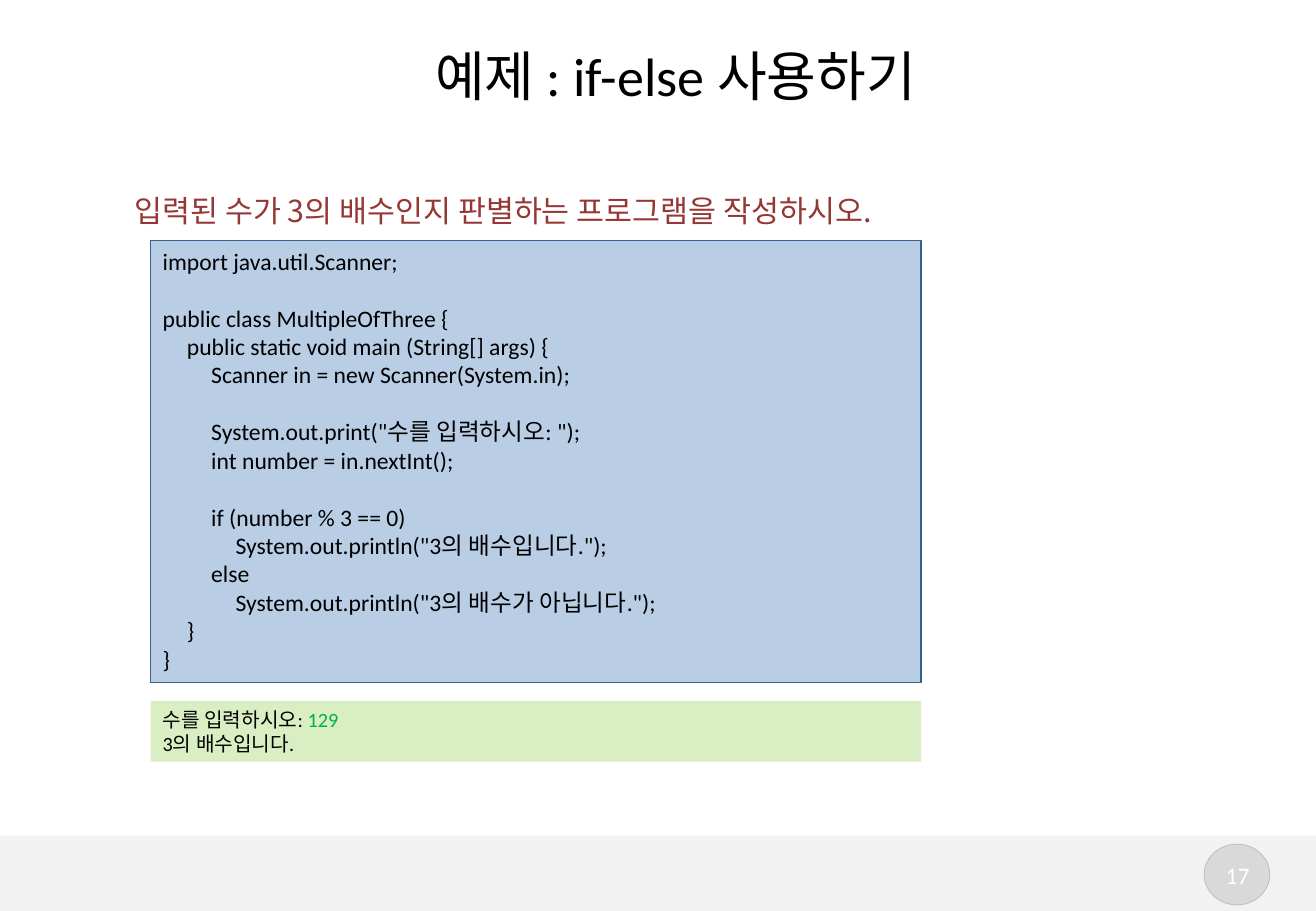
import pptx
import pptx.util
import pptx.dml.color
import pptx.enum.shapes
import pptx.enum.text
import lxml.etree
from pptx.oxml.ns import qn

RGBColor = pptx.dml.color.RGBColor
BLACK = RGBColor(0x00, 0x00, 0x00)
WHITE = RGBColor(0xFF, 0xFF, 0xFF)
FOOTER_GRAY = RGBColor(0xF2, 0xF2, 0xF2)
BADGE_GRAY = RGBColor(0xD9, 0xD9, 0xD9)
BADGE_EDGE = RGBColor(0xBF, 0xBF, 0xBF)
CODE_BLUE = RGBColor(0xB9, 0xCD, 0xE5)
CODE_EDGE = RGBColor(0x37, 0x60, 0x92)
OUTPUT_GREEN = RGBColor(0xDA, 0xEE, 0xC4)
INPUT_GREEN = RGBColor(0x00, 0xB0, 0x50)
QUESTION_RED = RGBColor(0x95, 0x37, 0x35)

SHAPES = pptx.enum.shapes.MSO_SHAPE
ALIGN = pptx.enum.text.PP_ALIGN
ANCHOR = pptx.enum.text.MSO_ANCHOR
KOREAN = "Noto Sans CJK KR"
WIDTH, HEIGHT = 10.83, 7.5
COLUMN_LEFT, COLUMN_WIDTH = 1.24, 6.34
CODE_INDENT = 0.2
CODE_SIZE, CODE_LINE = 14, 17

deck = pptx.Presentation()
deck.slide_width = pptx.util.Inches(WIDTH)
deck.slide_height = pptx.util.Inches(HEIGHT)
slide = deck.slides.add_slide(deck.slide_layouts[6])


def add_panel(kind, left, top, width, height, fill, edge=None, edge_width=0.75):
    panel = slide.shapes.add_shape(kind, *map(pptx.util.Inches, (left, top, width, height)))
    panel.shadow.inherit = False
    panel.fill.solid()
    panel.fill.fore_color.rgb = fill
    if edge is None:
        panel.line.fill.background()
    else:
        panel.line.color.rgb = edge
        panel.line.width = pptx.util.Pt(edge_width)
    panel.text_frame.vertical_anchor = ANCHOR.TOP
    return panel


def write(paragraph, text, size=CODE_SIZE, color=BLACK, font="Calibri", align=ALIGN.LEFT):
    paragraph.alignment = align
    run = paragraph.add_run()
    run.text = text
    run.font.size = pptx.util.Pt(size)
    run.font.name = font
    run.font.color.rgb = color
    east_asian = lxml.etree.SubElement(run.font._element, qn("a:ea"))
    east_asian.set("typeface", KOREAN)


# Footer
footer_top = 6.88
add_panel(SHAPES.RECTANGLE, 0, footer_top, WIDTH, HEIGHT - footer_top, FOOTER_GRAY)
add_panel(SHAPES.OVAL, 9.91, 6.95, 0.54, 0.5, BADGE_GRAY, BADGE_EDGE, 0.5)

# Single-line texts: page number, title, question
for text, box, wraps, anchor, style in (
    ("17", (9.97, 7.04, 0.43, 0.34), False, ANCHOR.TOP,
     dict(size=14, color=WHITE, align=ALIGN.CENTER)),
    ("예제 : if-else 사용하기", (0.73, 0.25, 9.66, 0.74), True, ANCHOR.MIDDLE,
     dict(size=32, align=ALIGN.CENTER)),
    ("입력된 수가 3의 배수인지 판별하는 프로그램을 작성하시오.", (1.01, 1.53, 6.97, 0.4), False,
     ANCHOR.TOP, dict(size=18, color=QUESTION_RED, font=KOREAN)),
):
    frame = slide.shapes.add_textbox(*map(pptx.util.Inches, box)).text_frame
    frame.word_wrap = wraps
    frame.vertical_anchor = anchor
    write(frame.paragraphs[0], text, **style)

# Code listing: blocks set apart by one line, each line with its indent level
code_blocks = (
    ((0, "import java.util.Scanner;"),),
    ((0, "public class MultipleOfThree {"),
     (1, "public static void main (String[] args) {"),
     (2, "Scanner in = new Scanner(System.in);")),
    ((2, 'System.out.print("수를 입력하시오: ");'),
     (2, "int number = in.nextInt();")),
    ((2, "if (number % 3 == 0)"),
     (3, 'System.out.println("3의 배수입니다.");'),
     (2, "else"),
     (3, 'System.out.println("3의 배수가 아닙니다.");'),
     (1, "}"),
     (0, "}")),
)
code = add_panel(SHAPES.RECTANGLE, COLUMN_LEFT, 1.98, COLUMN_WIDTH, 3.64,
                 CODE_BLUE, CODE_EDGE).text_frame
for block_index, block in enumerate(code_blocks):
    for line_index, (level, text) in enumerate(block):
        first = block_index == line_index == 0
        line = code.paragraphs[0] if first else code.add_paragraph()
        if line_index == 0 and not first:
            line.space_before = pptx.util.Pt(CODE_LINE)
        properties = line._p.get_or_add_pPr()
        properties.set("marL", str(int(pptx.util.Inches(CODE_INDENT * level))))
        properties.set("indent", "0")
        write(line, text)

# Program output
output = add_panel(SHAPES.RECTANGLE, COLUMN_LEFT, 5.77, COLUMN_WIDTH, 0.5,
                   OUTPUT_GREEN).text_frame
prompt = output.paragraphs[0]
write(prompt, "수를 입력하시오: ", size=12)
write(prompt, "129", size=12, color=INPUT_GREEN)
write(output.add_paragraph(), "3의 배수입니다.", size=12)

deck.save("out.pptx")
